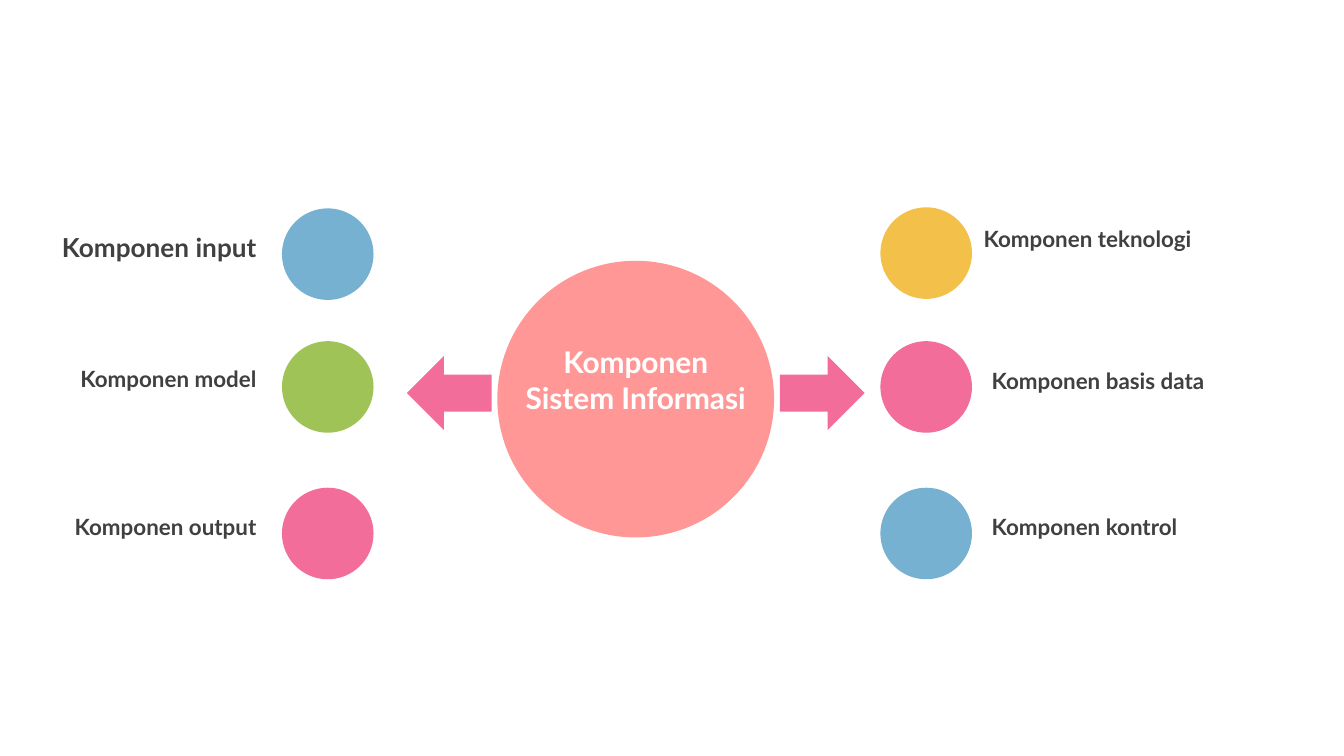
from pptx import Presentation
from pptx.dml.color import RGBColor
from pptx.enum import shapes, text
from pptx.util import Cm, Pt

COLORS = {
    "coral": "FF9797",
    "pink": "F26D9A",
    "blue": "76B1D1",
    "green": "A0C358",
    "yellow": "F3C04A",
    "ink": "404040",
    "white": "FFFFFF",
}
DOT = 1.73
LABEL_WIDTH = 7.87


def add_figure(slide, preset, left, top, width, height, color):
    figure = slide.shapes.add_shape(preset, Cm(left), Cm(top), Cm(width), Cm(height))
    figure.shadow.inherit = False
    figure.fill.solid()
    figure.fill.fore_color.rgb = RGBColor.from_string(COLORS[color])
    figure.line.fill.background()


def style(paragraph, size, color, align):
    paragraph.alignment = align
    paragraph.font.name = "Lato"
    paragraph.font.size = Pt(size)
    paragraph.font.bold = True
    paragraph.font.color.rgb = RGBColor.from_string(COLORS[color])


def add_label(slide, wording, left, top, size, align):
    height = 0.87 if size > 12 else 0.77
    label = slide.shapes.add_textbox(Cm(left), Cm(top), Cm(LABEL_WIDTH), Cm(height))
    frame = label.text_frame
    frame.word_wrap = True
    frame.auto_size = text.MSO_AUTO_SIZE.SHAPE_TO_FIT_TEXT
    frame.text = wording
    style(frame.paragraphs[0], size, "ink", align)


def add_components(slide, dot_left, label_left, align, components):
    for wording, color, dot_top, label_top, size, shift in components:
        add_figure(slide, shapes.MSO_SHAPE.OVAL, dot_left, dot_top, DOT, DOT, color)
        add_label(slide, wording, label_left + shift, label_top, size, align)


def add_hub(slide, left, top, diameter):
    add_figure(slide, shapes.MSO_SHAPE.OVAL, left, top, diameter, diameter, "coral")
    arrow_width, arrow_height, gap = 1.6, 1.4, 0.11
    arrows = (
        (shapes.MSO_SHAPE.LEFT_ARROW, left - gap - arrow_width),
        (shapes.MSO_SHAPE.RIGHT_ARROW, left + diameter + gap),
    )
    for preset, arrow_left in arrows:
        add_figure(slide, preset, arrow_left, top + 1.8, arrow_width, arrow_height, "pink")

    title = slide.shapes.title
    title.left, title.top = Cm(left + 0.02), Cm(top + 1.5)
    title.width, title.height = Cm(diameter - 0.04), Cm(2.16)
    frame = title.text_frame
    frame.word_wrap = True
    frame.auto_size = text.MSO_AUTO_SIZE.NONE
    frame.vertical_anchor = text.MSO_ANCHOR.TOP
    frame.margin_top = Cm(0.06)
    frame.text = "Komponen\vSistem Informasi"
    style(frame.paragraphs[0], 16, "white", text.PP_ALIGN.CENTER)
    title.element.getparent().append(title.element)


def main():
    deck = Presentation()
    deck.slide_width, deck.slide_height = Cm(25.4), Cm(14.29)
    slide = deck.slides.add_slide(deck.slide_layouts[5])

    add_hub(slide, 9.4, 4.93, 5.23)
    add_components(slide, 5.33, -2.77, text.PP_ALIGN.RIGHT, (
        ("Komponen input", "blue", 3.94, 4.24, 14, 0),
        ("Komponen model", "green", 6.45, 6.78, 12, 0),
        ("Komponen output", "pink", 9.22, 9.58, 12, 0),
    ))
    add_components(slide, 16.64, 18.49, text.PP_ALIGN.LEFT, (
        ("Komponen teknologi", "yellow", 3.92, 4.14, 12, -0.15),
        ("Komponen basis data", "pink", 6.45, 6.81, 12, 0),
        ("Komponen kontrol", "blue", 9.22, 9.58, 12, 0),
    ))
    deck.save("out.pptx")


if __name__ == "__main__":
    main()
